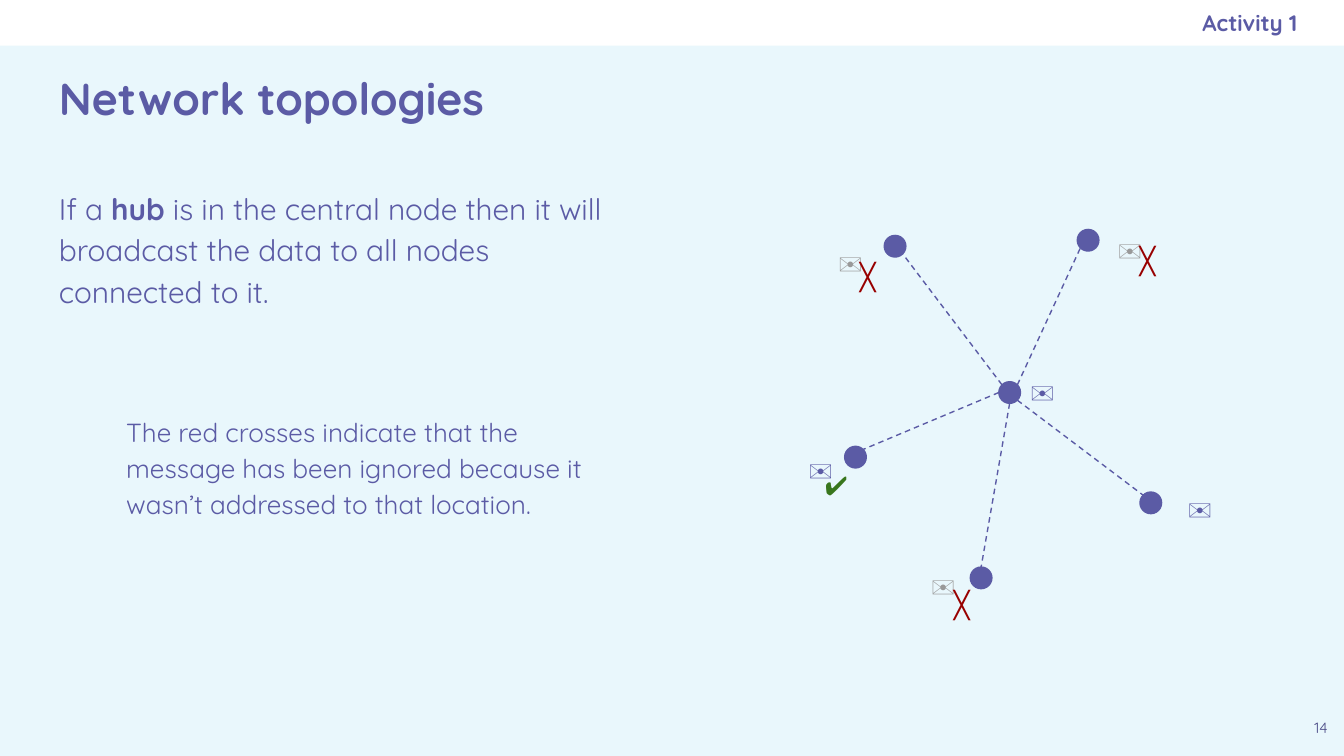
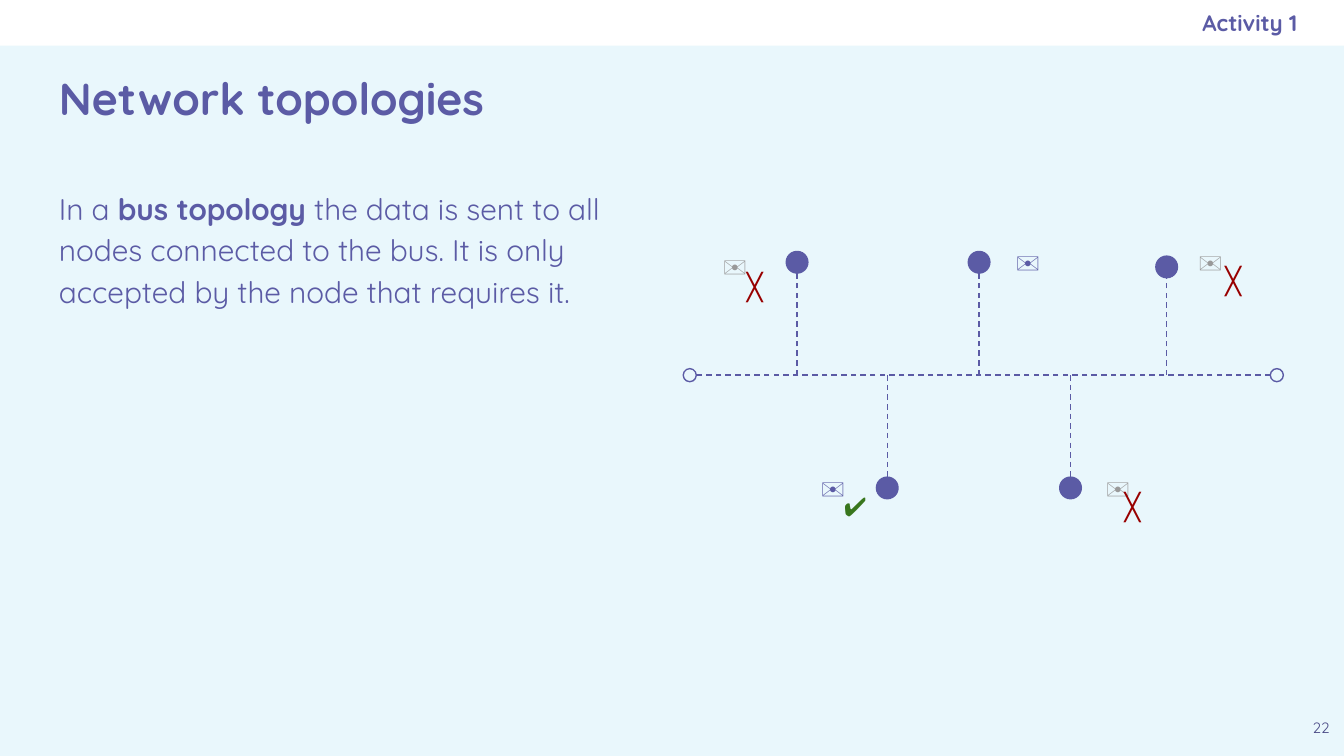
from lxml import etree
from pptx import Presentation
from pptx.dml.color import RGBColor
from pptx.enum.dml import MSO_LINE
from pptx.enum.shapes import MSO_CONNECTOR, MSO_SHAPE
from pptx.enum.text import MSO_ANCHOR, MSO_AUTO_SIZE, PP_ALIGN
from pptx.oxml.ns import qn
from pptx.util import Pt

RECTANGLE, OVAL = MSO_SHAPE.RECTANGLE, MSO_SHAPE.OVAL
STRAIGHT, DASH = MSO_CONNECTOR.STRAIGHT, MSO_LINE.DASH
LEFT, CENTER, RIGHT = PP_ALIGN.LEFT, PP_ALIGN.CENTER, PP_ALIGN.RIGHT
TOP, MIDDLE = MSO_ANCHOR.TOP, MSO_ANCHOR.MIDDLE
FIT_SHAPE = MSO_AUTO_SIZE.SHAPE_TO_FIT_TEXT

PURPLE = RGBColor(0x5B, 0x5B, 0xA5)
DARK_PURPLE = RGBColor(0x49, 0x49, 0x85)
PALE_BLUE = RGBColor(0xE9, 0xF7, 0xFC)
WHITE = RGBColor(0xFF, 0xFF, 0xFF)
GRAY = RGBColor(0x99, 0x99, 0x99)
RED = RGBColor(0x98, 0x00, 0x00)
GREEN = RGBColor(0x38, 0x76, 0x1D)

FONT = "Quicksand"
WIDTH, HEIGHT = 720, 405
BAND_HEIGHT = 24.5
INSET = 7.2
NODE_RADIUS = 5.8
BUS_END_RADIUS = 3.5
DIAGONAL = 0.71

# Unit offsets from a node's center to the points where cables meet it
SITES = {
    "top": (0, -1), "bottom": (0, 1), "left": (-1, 0),
    "top left": (-DIAGONAL, -DIAGONAL), "top right": (DIAGONAL, -DIAGONAL),
    "bottom left": (-DIAGONAL, DIAGONAL), "bottom right": (DIAGONAL, DIAGONAL),
}


def add_run(paragraph, text, *, size, color=PURPLE, bold=False):
    run = paragraph.add_run()
    run.text = text
    font = run.font
    font.name, font.size, font.bold = FONT, Pt(size), bold
    font.color.rgb = color


class TopologyDeck:
    """Holds the shared style and the slide being drawn."""

    def __init__(self):
        self.presentation = Presentation()
        self.presentation.slide_width = Pt(WIDTH)
        self.presentation.slide_height = Pt(HEIGHT)
        self.slide = None

    def start_slide(self, number):
        layout = self.presentation.slide_layouts[6]
        self.slide = self.presentation.slides.add_slide(layout)
        background = self.slide.background.fill
        background.solid()
        background.fore_color.rgb = PALE_BLUE
        self.shape(RECTANGLE, 0, 0, WIDTH, BAND_HEIGHT, fill=WHITE)
        self.text("Network topologies", 24.5, 25.2, 671, 54.7,
                  size=24, bold=True, anchor=MIDDLE)
        self.text(str(number), 695.5, 380.2, 24.5, 24.5,
                  size=8, color=DARK_PURPLE, align=CENTER)
        self.text("Activity 1", 414, 0, 281, BAND_HEIGHT, size=12, bold=True,
                  align=RIGHT, anchor=MIDDLE, right_inset=0)

    def shape(self, kind, left, top, width, height, fill=None, line=None):
        shape = self.slide.shapes.add_shape(
            kind, Pt(left), Pt(top), Pt(width), Pt(height))
        shape.shadow.inherit = False
        if fill is None:
            shape.fill.background()
        else:
            shape.fill.solid()
            shape.fill.fore_color.rgb = fill
        if line is None:
            shape.line.fill.background()
        else:
            shape.line.color.rgb = line
            shape.line.width = Pt(0.75)

    def text_frame(self, left, top, width, height, *, anchor=TOP, right_inset=INSET):
        box = self.slide.shapes.add_textbox(Pt(left), Pt(top), Pt(width), Pt(height))
        frame = box.text_frame
        frame.word_wrap = True
        frame.vertical_anchor = anchor
        frame.margin_left = frame.margin_top = frame.margin_bottom = Pt(INSET)
        frame.margin_right = Pt(right_inset)
        return frame

    def text(self, text, left, top, width, height, *, align=LEFT, anchor=TOP,
             right_inset=INSET, fit=False, **run_format):
        frame = self.text_frame(left, top, width, height,
                                anchor=anchor, right_inset=right_inset)
        if fit:
            frame.auto_size = FIT_SHAPE
        paragraph = frame.paragraphs[0]
        paragraph.alignment = align
        add_run(paragraph, text, **run_format)

    def body(self, before, term, after, note=None):
        frame = self.text_frame(24.5, 92.2, 322.6, 288)
        paragraph = frame.paragraphs[0]
        paragraph.line_spacing = 1.15
        for text, bold in ((before, False), (term, True), (after, False)):
            add_run(paragraph, text, size=16, bold=bold)
        if note:
            paragraph = frame.add_paragraph()
            properties = paragraph._p.get_or_add_pPr()
            properties.set("marL", str(Pt(36)))
            properties.set("indent", "0")
            paragraph.line_spacing = 1.15
            paragraph.space_before = Pt(55)
            add_run(paragraph, note, size=14)

    def circle(self, center, radius=NODE_RADIUS, fill=PURPLE):
        x, y = center
        self.shape(OVAL, x - radius, y - radius, 2 * radius, 2 * radius,
                   fill=fill, line=PURPLE)

    def cable(self, start, end):
        connector = self.slide.shapes.add_connector(
            STRAIGHT, *(Pt(value) for value in (*start, *end)))
        connector.line.color.rgb = PURPLE
        connector.line.width = Pt(0.75)
        connector.line.dash_style = DASH
        etree.SubElement(connector._element.spPr, qn("a:effectLst"))

    def envelopes(self, positions, color):
        for left, top in positions:
            self.text("✉", left, top, 33.8, 36, size=18, color=color, fit=True)

    def marks(self, symbol, positions, color):
        for left, top in positions:
            self.text(symbol, left, top, 31, 31.7, size=14, color=color, fit=True)

    def messages(self, active, ignored, crosses, tick):
        self.envelopes(active, PURPLE)
        self.envelopes(ignored, GRAY)
        self.marks("╳", crosses, RED)
        self.marks("✔", [tick], GREEN)


def site_point(center, site):
    return tuple(value + NODE_RADIUS * offset
                 for value, offset in zip(center, SITES[site]))


def build_hub_slide(deck):
    deck.start_slide(14)
    deck.body("If a ", "hub ",
              "is in the central node then it will broadcast the data to all "
              "nodes connected to it.",
              note="The red crosses indicate that the message has been ignored "
                   "because it wasn’t addressed to that location.")

    # Star network: node center, hub site, node site
    hub = (540.9, 210.3)
    spokes = [
        ((479.5, 131.9), "top left", "bottom right"),
        ((582.9, 128.7), "top right", "bottom left"),
        ((616.5, 269.4), "bottom right", "top left"),
        ((525.6, 309.6), "bottom", "top"),
        ((458.3, 244.9), "left", "top right"),
    ]
    deck.circle(hub)
    for node, hub_site, node_site in spokes:
        deck.circle(node)
        deck.cable(site_point(hub, hub_site), site_point(node, node_site))

    deck.messages(
        active=[(629.3, 254.9), (545, 192.2), (426.2, 234)],
        ignored=[(591.8, 115.9), (442.1, 123.1), (491.8, 295.9)],
        crosses=[(603.4, 123.8), (453.6, 132.5), (504, 308.2)],
        tick=(434.9, 244.1))


def build_bus_slide(deck):
    deck.start_slide(22)
    deck.body("In a ", "bus topology",
              " the data is sent to all nodes connected to the bus. It is only "
              "accepted by the node that requires it.")

    # Bus with an open terminator at each end
    bus_y, bus_left, bus_right = 201, 369.5, 684
    for x in (bus_left, bus_right):
        deck.circle((x, bus_y), radius=BUS_END_RADIUS, fill=None)
    deck.cable((bus_right - BUS_END_RADIUS, bus_y),
               (bus_left + BUS_END_RADIUS, bus_y))

    # Nodes hang above and below the bus
    for node in ((427, 140.5), (475.3, 261.4), (524.5, 140.5),
                 (573.5, 261.4), (625, 143)):
        x, y = node
        deck.circle(node)
        deck.cable((x, bus_y), site_point(node, "bottom" if y < bus_y else "top"))

    deck.messages(
        active=[(537.1, 122.4), (432.7, 243.4)],
        ignored=[(380.2, 124.6), (585.4, 243.4), (635, 122.4)],
        crosses=[(393.1, 137.5), (649.4, 134.6), (595.4, 255.6)],
        tick=(445, 255.6))


def main():
    deck = TopologyDeck()
    build_hub_slide(deck)
    build_bus_slide(deck)
    deck.presentation.save("out.pptx")


if __name__ == "__main__":
    main()
